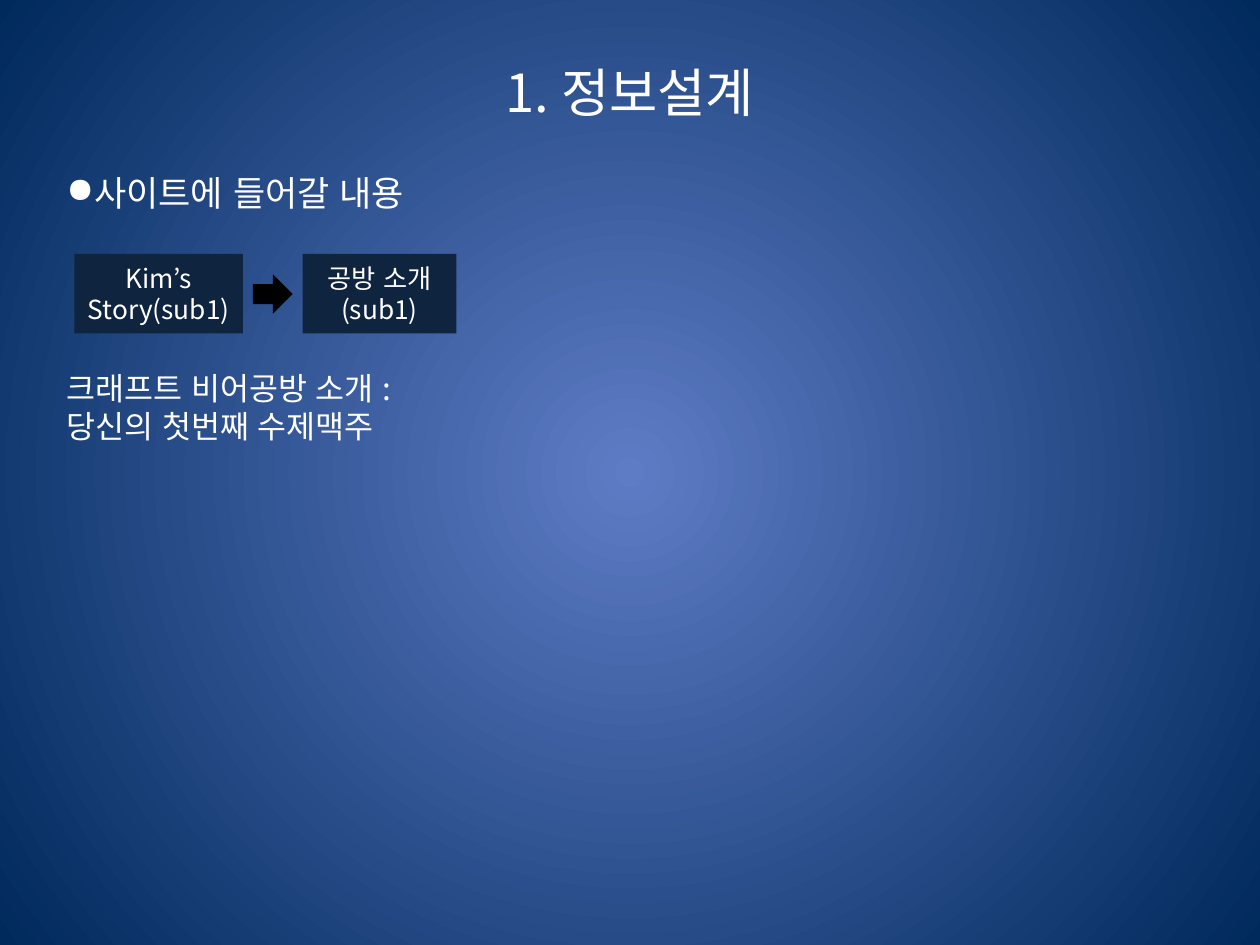
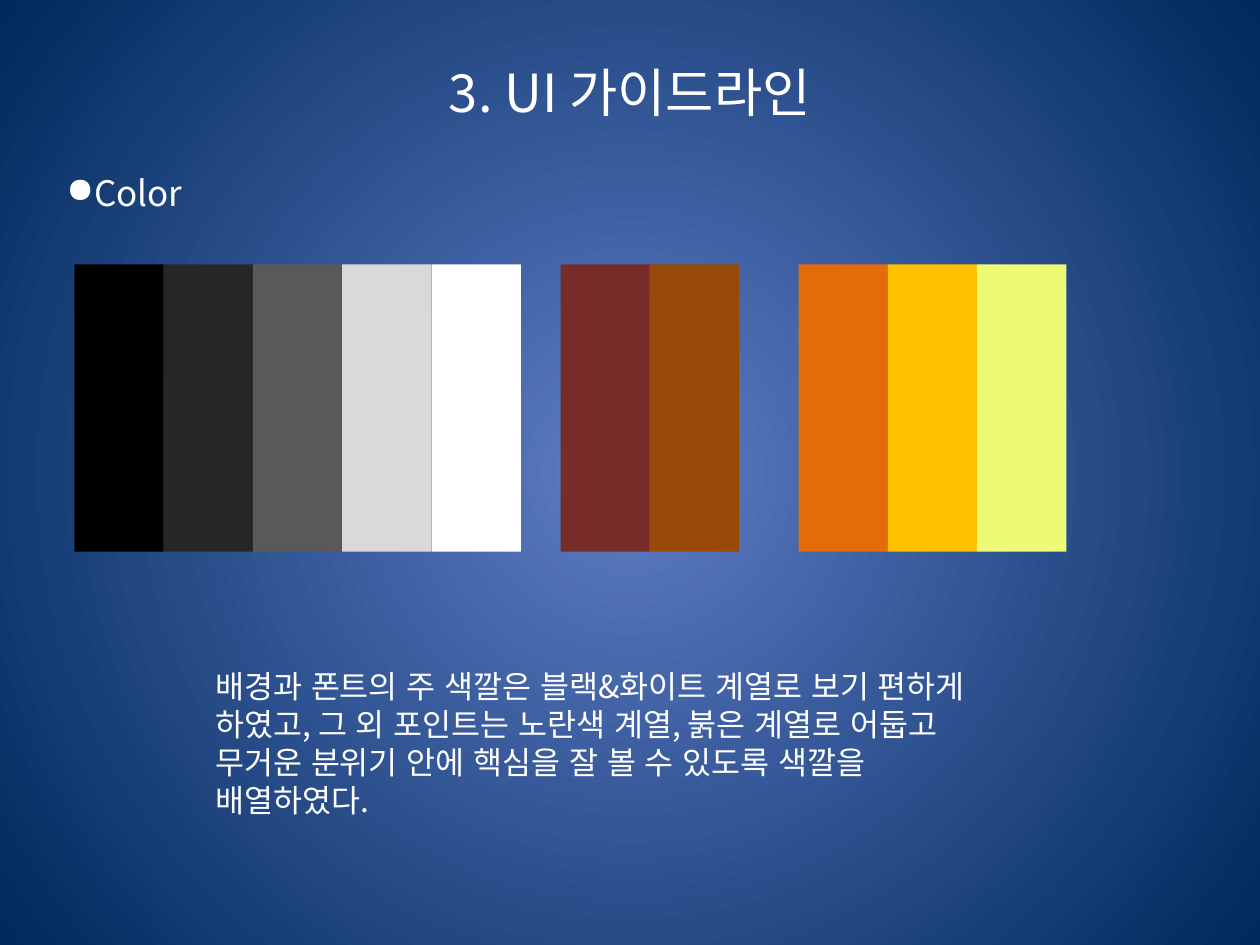
from lxml.etree import SubElement
from pptx import Presentation
from pptx.dml.color import RGBColor
from pptx.enum.shapes import MSO_SHAPE
from pptx.enum.text import MSO_ANCHOR, PP_ALIGN
from pptx.oxml.ns import qn
from pptx.util import Cm, Pt

FONT = "Noto Sans CJK KR"
HUES = {
    "glow": "5E7CC5", "edge": "00295C", "text": "FFFFFF",
    "box": "0F243E", "black": "000000", "coal": "262626",
    "gray": "595959", "silver": "D9D9D9", "white": "FFFFFF",
    "wine": "782C2A", "brown": "984807", "orange": "E46C0A",
    "amber": "FFC000", "lemon": "EDFA76",
}


def color(name):
    return RGBColor.from_string(HUES[name])


class Deck:
    def __init__(self):
        self.prs = Presentation()
        self.prs.slide_width = Cm(25.4)
        self.prs.slide_height = Cm(19.05)
        self.slide = None

    def page(self, title, topic, width):
        """Start a slide with its backdrop, title and bulleted topic."""
        self.slide = self.prs.slides.add_slide(self.prs.slide_layouts[6])
        self.glow()
        self.text(title, 1.27, 0.76, 22.86, 2.16, 30,
                  PP_ALIGN.CENTER, MSO_ANCHOR.MIDDLE)
        para = self.text(topic, 1.09, 3.33, width, 1.12, 20).paragraphs[0]
        props = para._p.get_or_add_pPr()
        props.set("marL", str(Cm(0.56)))
        props.set("indent", str(Cm(-0.56)))
        SubElement(props, qn("a:buChar"), char="●")

    def glow(self):
        """Radial gradient from the centre of the slide."""
        fill = self.slide.background.fill
        fill.gradient()
        for stop, name in zip(fill.gradient_stops, ("glow", "edge")):
            stop.color.rgb = color(name)
        grad = self.slide._element.find(".//" + qn("a:gradFill"))
        grad.remove(grad.find(qn("a:lin")))
        way = SubElement(grad, qn("a:path"), path="circle")
        SubElement(way, qn("a:fillToRect"), l="50000", t="50000",
                   r="50000", b="50000")

    def style(self, frame, text, size, align, anchor):
        frame.text = text
        frame.word_wrap = True
        frame.vertical_anchor = anchor
        for para in frame.paragraphs:
            para.alignment = align
            for run in para.runs:
                run.font.size = Pt(size)
                run.font.name = FONT
                run.font.color.rgb = color("text")
                props = run._r.get_or_add_rPr()
                props.set("lang", "ko-KR")
                SubElement(props, qn("a:ea"), typeface=FONT)

    def text(self, text, x, y, w, h, size,
             align=PP_ALIGN.LEFT, anchor=MSO_ANCHOR.TOP):
        box = self.slide.shapes.add_textbox(Cm(x), Cm(y), Cm(w), Cm(h))
        self.style(box.text_frame, text, size, align, anchor)
        return box.text_frame

    def shape(self, x, y, w, h, fill, text="", kind=MSO_SHAPE.RECTANGLE):
        item = self.slide.shapes.add_shape(kind, Cm(x), Cm(y), Cm(w), Cm(h))
        item.shadow.inherit = False
        item.fill.solid()
        item.fill.fore_color.rgb = color(fill)
        item.line.fill.background()
        if text:
            self.style(item.text_frame, text, 15,
                       PP_ALIGN.CENTER, MSO_ANCHOR.MIDDLE)

    def strip(self, x, names):
        """Row of touching colour swatches."""
        wide = 1.8
        for i, name in enumerate(names):
            self.shape(x + i * wide, 5.33, wide, 5.79, name)


deck = Deck()

# Information design: menu flow and introduction
deck.page("1. 정보설계", "사이트에 들어갈 내용", 7.65)
deck.shape(1.5, 5.12, 3.4, 1.6, "box", "Kim’s Story(sub1)")
deck.shape(6.1, 5.12, 3.1, 1.6, "box", "공방 소개(sub1)")
deck.shape(5.1, 5.53, 0.8, 0.8, "black", kind=MSO_SHAPE.RIGHT_ARROW)
deck.text("크래프트 비어공방 소개 :\n당신의 첫번째 수제맥주",
          1.09, 7.32, 7.75, 3.33, 18)

# UI guideline: palette and reasoning
deck.page("3. UI 가이드라인", "Color", 2.97)
deck.strip(1.5, ("black", "coal", "gray", "silver", "white"))
deck.strip(11.3, ("wine", "brown"))
deck.strip(16.1, ("orange", "amber", "lemon"))
deck.text("배경과 폰트의 주 색깔은 블랙&화이트 계열로 보기 편하게 하였고, "
          "그 외 포인트는 노란색 계열, 붉은 계열로 어둡고 무거운 분위기 안에 "
          "핵심을 잘 볼 수 있도록 색깔을 배열하였다.",
          4.09, 13.33, 16.41, 2.57, 18)

deck.prs.save("out.pptx")
